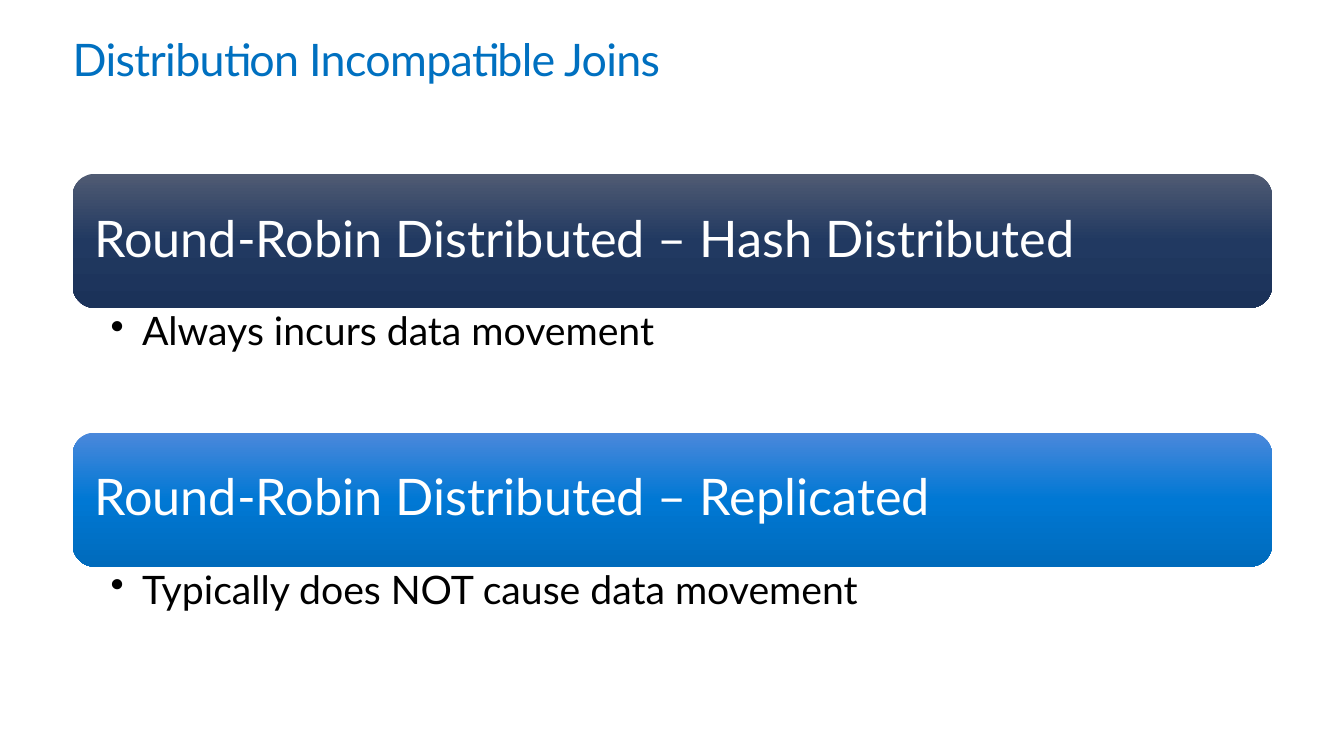
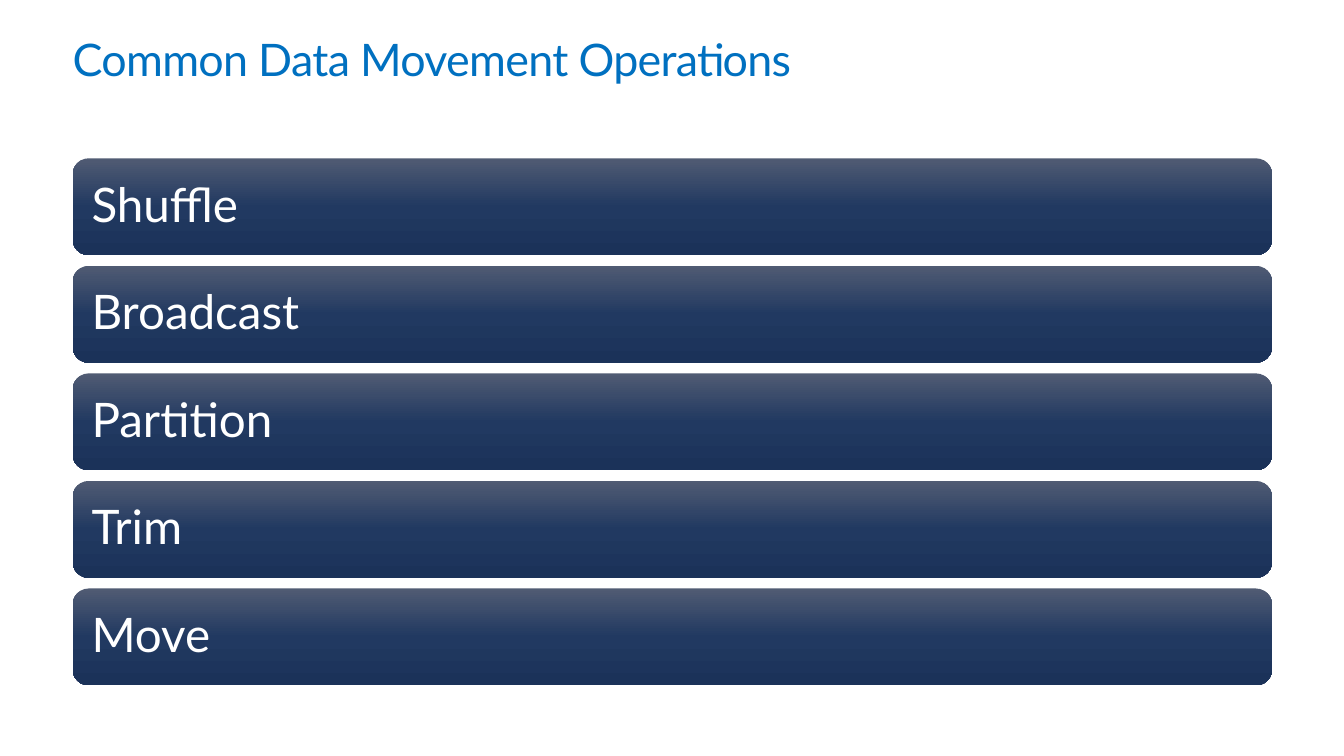
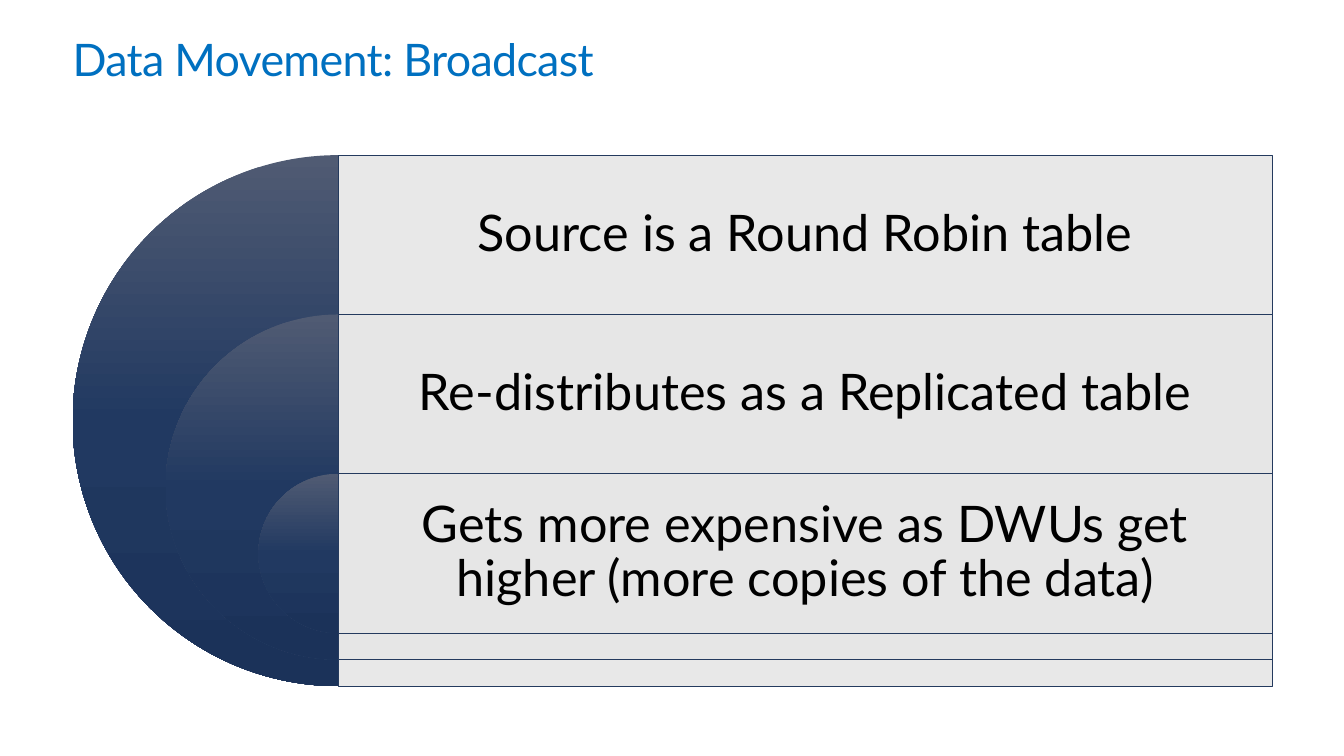
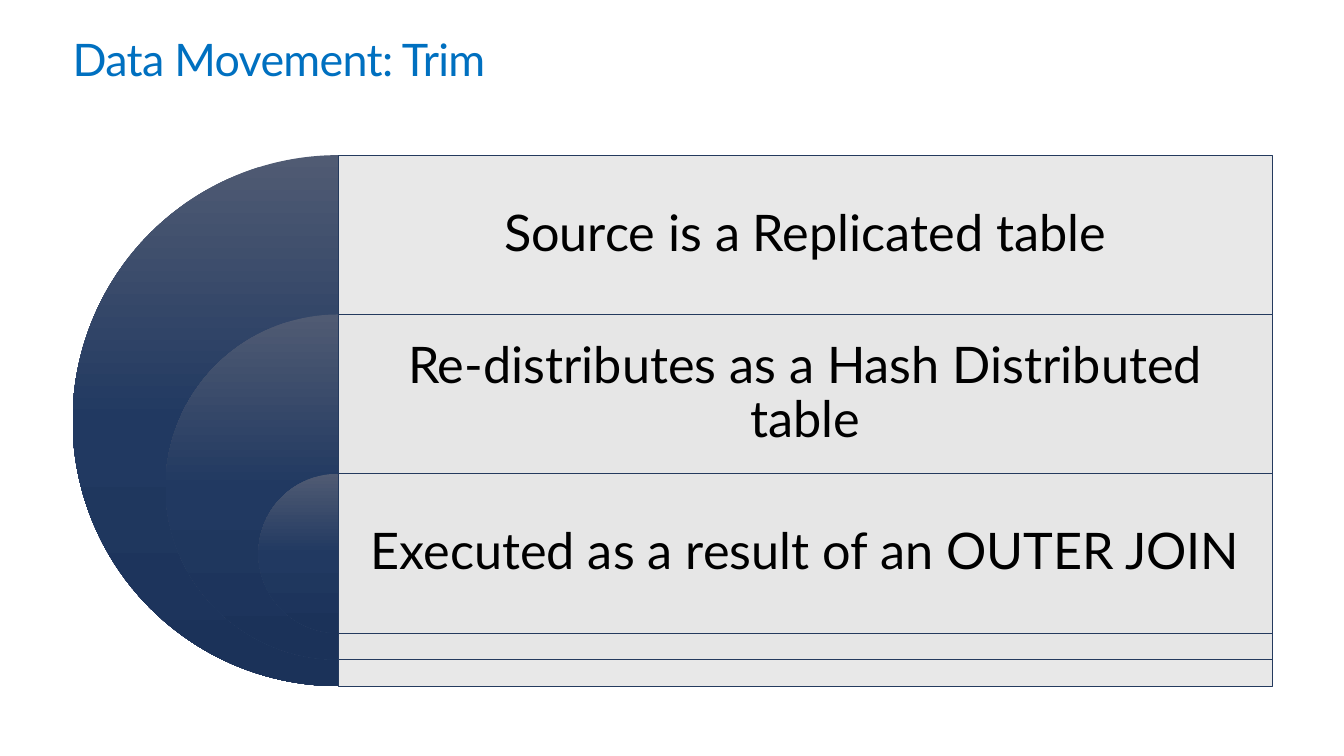
"""Builds four slides on distributed joins and data movement."""
from copy import deepcopy
from dataclasses import dataclass

from lxml import etree
from pptx import Presentation
from pptx.dml.color import RGBColor
from pptx.enum.shapes import MSO_SHAPE
from pptx.enum.text import MSO_ANCHOR, PP_ALIGN
from pptx.oxml.ns import qn
from pptx.util import Cm, Pt

ROUNDED, PIE, RECTANGLE = MSO_SHAPE.ROUNDED_RECTANGLE, MSO_SHAPE.PIE, MSO_SHAPE.RECTANGLE
TOP, MIDDLE = MSO_ANCHOR.TOP, MSO_ANCHOR.MIDDLE
LEFT, CENTER = PP_ALIGN.LEFT, PP_ALIGN.CENTER


@dataclass(frozen=True)
class Theme:
    """Colours and type sizes of the deck."""
    font: str = "Lato"
    title: str = "0070C0"
    ink: str = "000000"
    paper: str = "FFFFFF"
    panel: str = "E6E6E6"
    panel_alpha: int = 90
    outline: str = "243A5E"
    navy: tuple = ("505B73", "213961", "1B3259")
    blue: tuple = ("4B88DB", "0078D4", "006BBC")
    title_size: int = 32
    title_leading: float = 36.2
    heading_size: int = 36
    list_size: int = 34
    detail_size: int = 28
    leading: float = 0.9


@dataclass(frozen=True)
class Box:
    """A rectangle measured in centimetres."""
    left: float
    top: float
    width: float
    height: float

    def lengths(self):
        """Return the four measures as lengths."""
        return [Cm(v) for v in (self.left, self.top, self.width, self.height)]


THEME = Theme()
TITLE_BOX = Box(1.83, 0.89, 30.23, 1.27)
JOINS_BOX = Box(1.83, 4.38, 30.23, 12.9)
OPERATIONS_BOX = Box(1.83, 3.99, 30.23, 13.28)
MOVEMENT_BOX = Box(1.83, 3.91, 30.23, 13.38)


def write(shape, text, size, color, insets=(0, 0, 0, 0), anchor=TOP, align=LEFT,
          leading=THEME.leading):
    """Fill a shape with one styled paragraph and return it."""
    frame = shape.text_frame
    frame.text = text
    frame.word_wrap = True
    frame.vertical_anchor = anchor
    frame.margin_left, frame.margin_top, frame.margin_right, frame.margin_bottom = map(Cm, insets)
    paragraph = frame.paragraphs[0]
    paragraph.alignment = align
    paragraph.line_spacing = leading
    font = paragraph.runs[0].font
    font.name, font.size = THEME.font, Pt(size)
    font.color.rgb = RGBColor.from_string(color)
    return paragraph


def add_gradient_shape(slide, kind, box, colors):
    """Add a borderless shape shaded from top to bottom."""
    shape = slide.shapes.add_shape(kind, *box.lengths())
    shape.shadow.inherit = False
    shape.line.fill.background()
    shape.fill.gradient()
    shape.fill.gradient_angle = 270
    stops = shape._element.spPr.find(".//" + qn("a:gsLst"))
    stops.insert(1, deepcopy(stops[0]))
    for stop, color, position in zip(shape.fill.gradient_stops, colors, (0, 0.5, 1)):
        stop.color.rgb = RGBColor.from_string(color)
        stop.position = position
    return shape


def add_title(slide, text):
    """Place the slide title."""
    title = slide.shapes.add_textbox(*TITLE_BOX.lengths())
    paragraph = write(title, text, THEME.title_size, THEME.title,
                      leading=Pt(THEME.title_leading))
    paragraph.runs[0]._r.get_or_add_rPr().set("spc", "-50")


def add_bar(slide, box, text, size, colors, inset):
    """Place a rounded bar with its label."""
    bar = add_gradient_shape(slide, ROUNDED, box, colors)
    write(bar, text, size, THEME.paper, (inset,) * 4, MIDDLE)


def add_detail(slide, box, text):
    """Place a bulleted line."""
    detail = slide.shapes.add_textbox(*box.lengths())
    paragraph = write(detail, text, THEME.detail_size, THEME.ink, (0.96, 0.1, 0.56, 0.1))
    properties = paragraph._p.get_or_add_pPr()
    properties.set("marL", str(Cm(0.79)))
    properties.set("indent", str(-Cm(0.79)))
    etree.SubElement(properties, qn("a:buChar")).set("char", "•")


def add_joins(slide, box, joins):
    """Stack bars, each with a bulleted line under it."""
    bar_height, detail_height = 3.38, 3.0
    gap = (box.height - len(joins) * (bar_height + detail_height)) / (len(joins) - 1)
    for index, (heading, detail, colors) in enumerate(joins):
        top = box.top + index * (bar_height + detail_height + gap)
        add_bar(slide, Box(box.left, top, box.width, bar_height), heading,
                THEME.heading_size, colors, 0.38)
        add_detail(slide, Box(box.left, top + bar_height, box.width, detail_height), detail)


def add_operations(slide, box, operations):
    """Stack equal bars over the height of the box."""
    gap = 0.27
    height = (box.height - gap * (len(operations) - 1)) / len(operations)
    for index, operation in enumerate(operations):
        add_bar(slide, Box(box.left, box.top + index * (height + gap), box.width, height),
                operation, THEME.list_size, THEME.navy, 0.36)


def add_panel(slide, box, text, row_height):
    """Place an outlined panel with its text in the top row."""
    inset = 0.38
    panel = slide.shapes.add_shape(RECTANGLE, *box.lengths())
    panel.shadow.inherit = False
    panel.fill.solid()
    panel.fill.fore_color.rgb = RGBColor.from_string(THEME.panel)
    color = panel._element.spPr.find(qn("a:solidFill"))[0]
    etree.SubElement(color, qn("a:alpha")).set("val", str(THEME.panel_alpha * 1000))
    panel.line.color.rgb = RGBColor.from_string(THEME.outline)
    panel.line.width = Pt(0.5)
    write(panel, text, THEME.heading_size, THEME.ink,
          (inset, inset, inset, box.height - row_height + inset), MIDDLE, CENTER)


def add_movement(slide, box, facts):
    """Nest half discs, each beside a panel that holds one fact."""
    row_height = 0.3 * box.height
    center = box.left + box.height / 2
    for index, fact in enumerate(facts):
        diameter = box.height * (1 - 0.35 * index)
        top = box.top + index * row_height
        half_disc = add_gradient_shape(
            slide, PIE, Box(center - diameter / 2, top, diameter, diameter), THEME.navy)
        half_disc.adjustments[0] = 54
        half_disc.adjustments[1] = 162
        add_panel(slide, Box(center, top, box.left + box.width - center, diameter),
                  fact, row_height)


SLIDES = (
    ("Distribution Incompatible Joins", add_joins, JOINS_BOX, (
        ("Round-Robin Distributed – Hash Distributed", "Always incurs data movement",
         THEME.navy),
        ("Round-Robin Distributed – Replicated", "Typically does NOT cause data movement",
         THEME.blue),
    )),
    ("Common Data Movement Operations", add_operations, OPERATIONS_BOX,
     ("Shuffle", "Broadcast", "Partition", "Trim", "Move")),
    ("Data Movement: Broadcast", add_movement, MOVEMENT_BOX, (
        "Source is a Round Robin table",
        "Re-distributes as a Replicated table",
        "Gets more expensive as DWUs get higher (more copies of the data)",
    )),
    ("Data Movement: Trim", add_movement, MOVEMENT_BOX, (
        "Source is a Replicated table",
        "Re-distributes as a Hash Distributed table",
        "Executed as a result of an OUTER JOIN",
    )),
)


def main():
    """Build and save the deck."""
    deck = Presentation()
    deck.slide_width, deck.slide_height = Cm(33.87), Cm(19.05)
    blank = deck.slide_layouts[6]
    for title, add_body, box, content in SLIDES:
        slide = deck.slides.add_slide(blank)
        add_title(slide, title)
        add_body(slide, box, content)
    deck.save("out.pptx")


if __name__ == "__main__":
    main()
